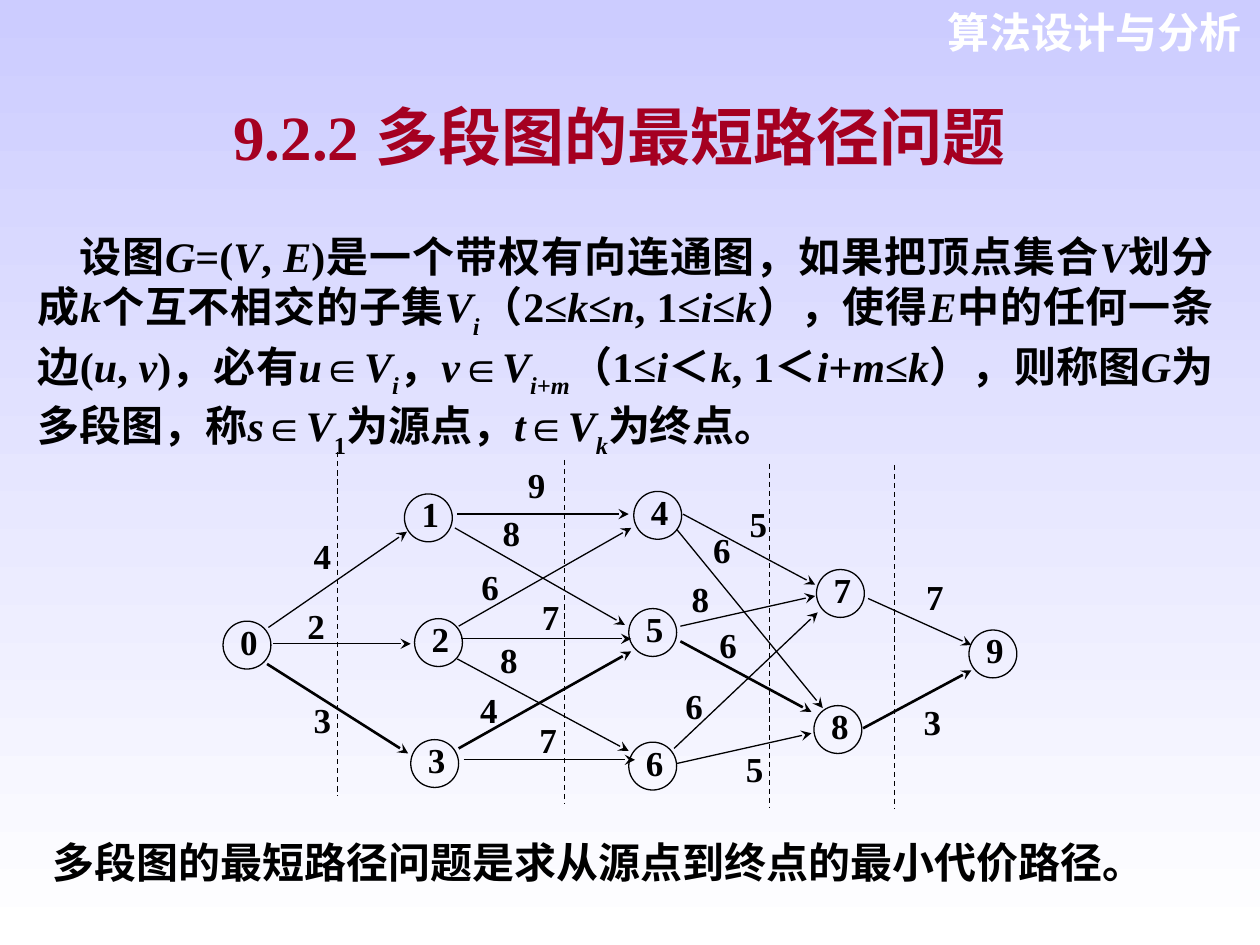
"""Build the slide on shortest paths in a multistage graph."""
import pptx
import pptx.util
import pptx.dml.color
import pptx.enum.dml
import pptx.enum.shapes
import pptx.enum.text
import lxml.etree
from pptx.util import Inches

RGB = pptx.dml.color.RGBColor
ALIGN = pptx.enum.text.PP_ALIGN
BLACK = RGB(0, 0, 0)
WHITE = RGB(255, 255, 255)
RED = RGB(0xA5, 0x00, 0x21)
LILAC = RGB(0xCC, 0xCC, 0xFF)
SERIF, SANS, HAN = "Times New Roman", "Arial", "Noto Sans CJK SC"

BODY = (
    "设图*G*=(*V*, *E*)是一个带权有向连通图，如果把顶点集合*V*划分成*k*个互不相交的子集"
    "*V_i_*（2≤*k*≤*n*, 1≤*i*≤*k*），使得*E*中的任何一条边(*u*, *v*)，必有"
    "*u*∈*V_i_*，*v*∈*V_i+m_*（1≤*i*＜*k*, 1＜*i*+*m*≤*k*），则称图*G*为多段图，"
    "称*s*∈*V*_1_为源点，*t*∈*V_k_*为终点。"
)

NODES = [
    (1.77, 4.93), (3.21, 3.92), (3.29, 4.91), (3.26, 5.87), (5.03, 3.9),
    (4.99, 4.83), (4.99, 5.89), (6.48, 4.52), (6.46, 5.6), (7.69, 5),
]
THIN, THICK = 0.75, 1.5
EDGES = [
    (2.13, 4.98, 3.23, 4.22, THIN, 4, 2.41, 4.31),
    (2.17, 5.11, 3.26, 5.11, THIN, 2, 2.36, 4.86),
    (2.12, 5.27, 3.24, 5.98, THICK, 3, 2.41, 5.61),
    (3.63, 4.08, 4.99, 4.08, THIN, 9, 4.11, 3.74),
    (3.61, 4.19, 4.96, 4.96, THIN, 8, 3.91, 4.12),
    (3.64, 4.97, 5.01, 4.19, THIN, 6, 3.74, 4.55),
    (3.66, 5.07, 5.01, 5.07, THIN, 7, 4.22, 4.79),
    (3.63, 5.23, 4.99, 5.96, THIN, 8, 3.89, 5.13),
    (3.64, 5.94, 5.01, 5.17, THICK, 4, 3.73, 5.53),
    (3.68, 6.03, 5.04, 6.03, THIN, 7, 4.2, 5.77),
    (5.42, 4.08, 6.47, 4.64, THIN, 5, 5.87, 4.05),
    (5.37, 4.2, 6.53, 5.62, THIN, 6, 5.58, 4.26),
    (5.4, 4.97, 6.47, 4.73, THIN, 8, 5.41, 4.65),
    (5.4, 5.09, 6.44, 5.65, THICK, 6, 5.63, 5.01),
    (5.35, 5.94, 6.49, 4.86, THIN, 6, 5.36, 5.5),
    (5.37, 6.06, 6.44, 5.82, THIN, 5, 5.84, 6),
    (6.89, 4.75, 7.71, 5.12, THIN, 7, 7.27, 4.63),
    (6.85, 5.78, 7.71, 5.32, THICK, 3, 7.25, 5.62),
]
CUTS = [(2.68, 3.59), (4.48, 3.65), (6.11, 3.68), (7.1, 3.69)]


class Deck:
    """Hold the style and the current slide."""

    def __init__(self):
        self.prs = pptx.Presentation()
        self.prs.slide_width = Inches(10)
        self.prs.slide_height = Inches(7.5)
        self.slide = self.prs.slides.add_slide(self.prs.slide_layouts[5])
        self.shapes = self.slide.shapes

    def back(self, top, base):
        fill = self.slide.background.fill
        fill.gradient()
        fill.gradient_angle = 270
        for stop, color in zip(fill.gradient_stops, (top, base)):
            stop.color.rgb = color

    def style(self, run, size, color=BLACK, face=SERIF):
        font = run.font
        font.size = pptx.util.Pt(size)
        font.bold = True
        font.name = face
        font.color.rgb = color

    def title(self, num, text, box):
        shape = self.shapes.title
        shape.left, shape.top, shape.width, shape.height = map(Inches, box)
        frame = shape.text_frame
        frame.auto_size = pptx.enum.text.MSO_AUTO_SIZE.NONE
        frame.vertical_anchor = pptx.enum.text.MSO_ANCHOR.MIDDLE
        para = frame.paragraphs[0]
        para.text = num
        para.alignment = ALIGN.CENTER
        para.add_run().text = text
        for run, face in zip(para.runs, (SERIF, HAN)):
            self.style(run, 36, RED, face)

    def text(self, text, box, align, color=BLACK, wrap=True):
        frame = self.shapes.add_textbox(*map(Inches, box)).text_frame
        frame.word_wrap = wrap
        para = frame.paragraphs[0]
        para.text = text
        para.alignment = align
        self.style(para.runs[0], 24, color, SANS)

    def rich(self, text, box, indent):
        """Write text where *x* is italic and _x_ is lowered."""
        frame = self.shapes.add_textbox(*map(Inches, box)).text_frame
        frame.word_wrap = True
        para = frame.paragraphs[0]
        para.alignment = ALIGN.JUSTIFY
        para._p.get_or_add_pPr().set("indent", str(Inches(indent)))
        for i, part in enumerate(text.split("*")):
            for j, bit in enumerate(part.split("_")):
                if not bit:
                    continue
                run = para.add_run()
                run.text = bit
                self.style(run, 24)
                run.font.italic = i % 2 == 1
                if j % 2:
                    run._r.get_or_add_rPr().set("baseline", "-30000")

    def digit(self, shape, num):
        frame = shape.text_frame
        frame.word_wrap = True
        frame.vertical_anchor = pptx.enum.text.MSO_ANCHOR.TOP
        frame.margin_left = Inches(0.08)
        frame.margin_top = frame.margin_right = frame.margin_bottom = 0
        para = frame.paragraphs[0]
        para.text = str(num)
        para.alignment = ALIGN.JUSTIFY
        para.line_spacing = 0.8
        self.style(para.runs[0], 20)

    def node(self, num, x, y):
        kind = pptx.enum.shapes.MSO_SHAPE.OVAL
        shape = self.shapes.add_shape(kind, *map(Inches, (x, y, 0.38, 0.38)))
        shape.shadow.inherit = False
        shape.fill.background()
        shape.line.color.rgb = BLACK
        shape.line.width = pptx.util.Pt(THIN)
        self.digit(shape, num)

    def label(self, num, x, y):
        box = self.shapes.add_textbox(*map(Inches, (x, y, 0.21, 0.25)))
        self.digit(box, num)

    def line(self, ends, width=THIN, arrow=False):
        kind = pptx.enum.shapes.MSO_CONNECTOR.STRAIGHT
        link = self.shapes.add_connector(kind, *map(Inches, ends))
        link.line.color.rgb = BLACK
        link.line.width = pptx.util.Pt(width)
        tag = pptx.oxml.ns.qn
        if arrow:
            tail = lxml.etree.SubElement(link.line._get_or_add_ln(), tag("a:tailEnd"))
            tail.set("type", "stealth")
        else:
            link.line.dash_style = pptx.enum.dml.MSO_LINE.DASH
        lxml.etree.SubElement(link._element.spPr, tag("a:effectLst"))


def main():
    deck = Deck()
    deck.back(LILAC, WHITE)
    deck.text("算法设计与分析", (7.24, 0, 2.71, 0.5), ALIGN.RIGHT, WHITE)
    deck.title("9.2.2 ", "多段图的最短路径问题", (1.58, 0.72, 6.67, 0.7))
    deck.rich(BODY, (0.2, 1.78, 9.53, 1.92), 0.33)
    for num, spot in enumerate(NODES):
        deck.node(num, *spot)
    for *ends, width, cost, x, y in EDGES:
        deck.line(ends, width, arrow=True)
        deck.label(cost, x, y)
    for x, y in CUTS:
        deck.line((x, y, x, y + 2.73))
    note = "多段图的最短路径问题是求从源点到终点的最小代价路径。"
    deck.text(note, (0.15, 6.59, 8.86, 0.5), ALIGN.CENTER, wrap=False)
    deck.prs.save("out.pptx")


if __name__ == "__main__":
    main()
